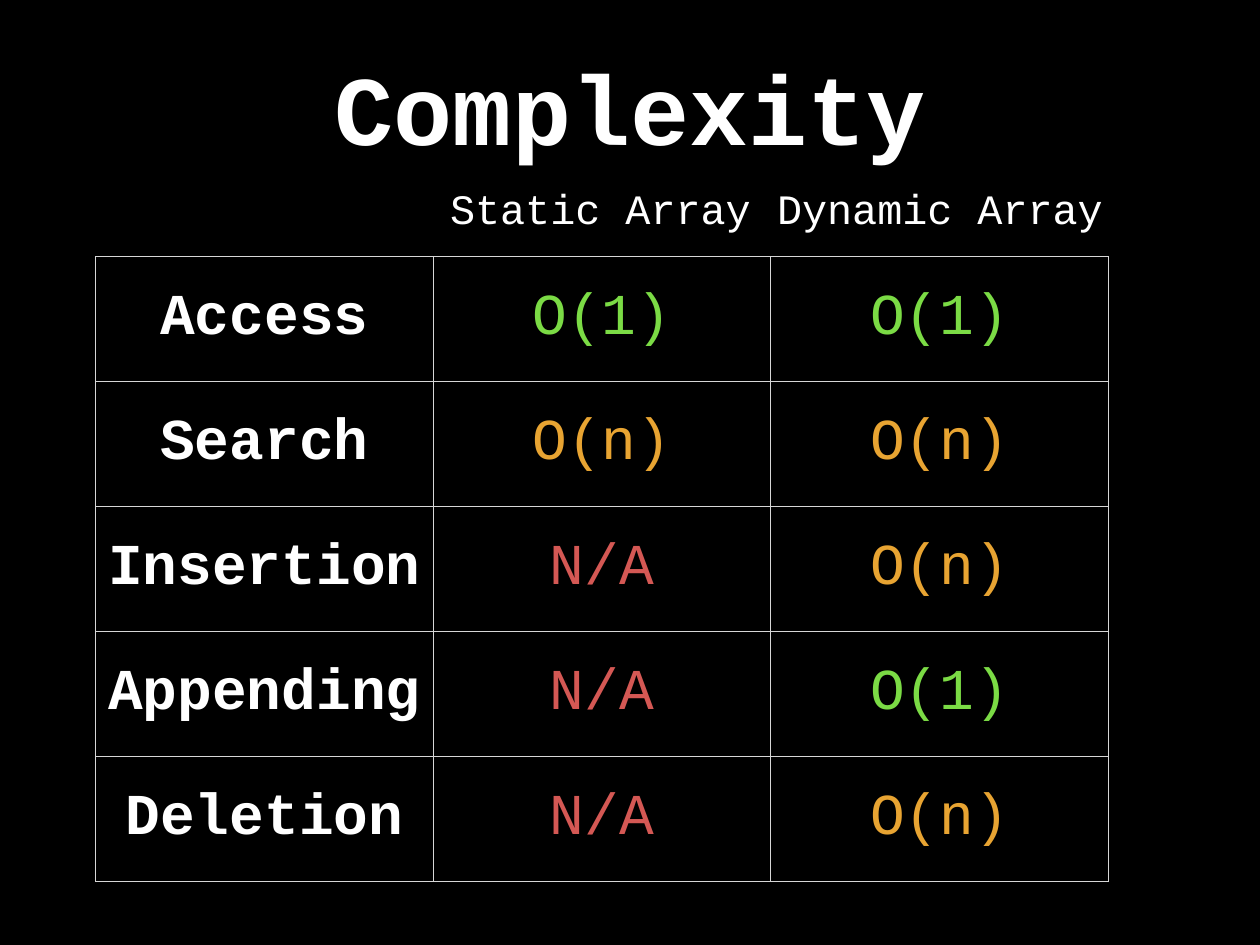
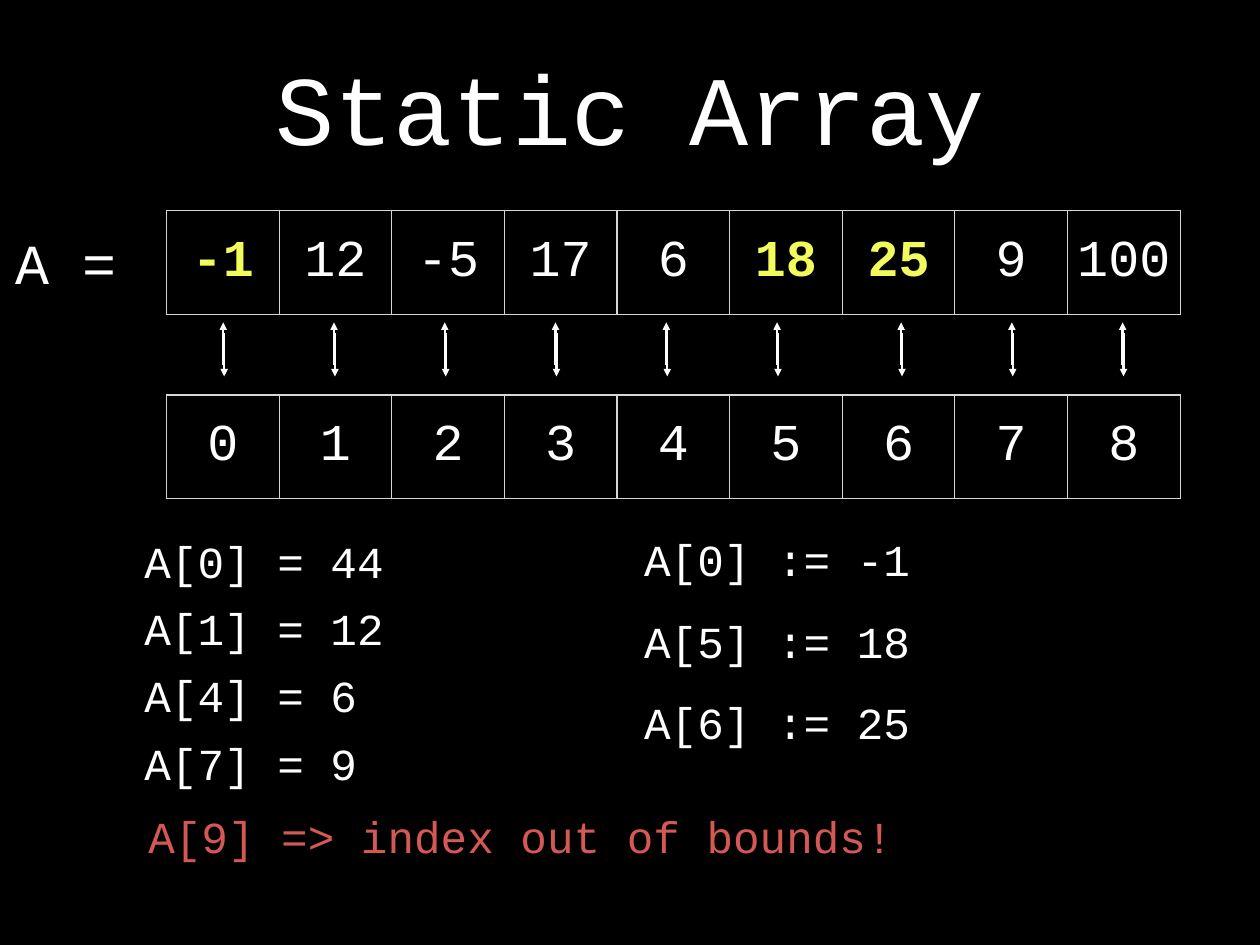
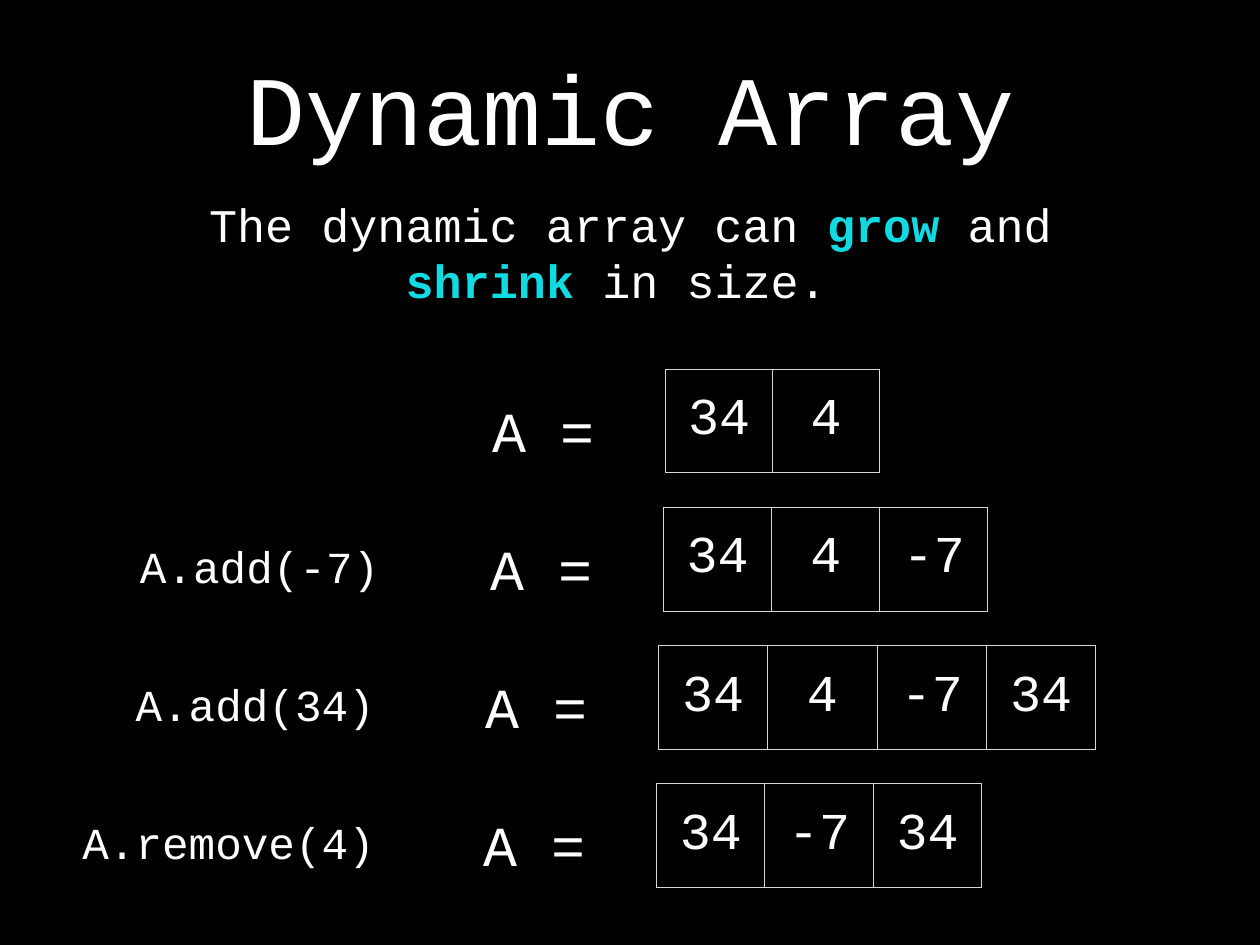
from lxml import etree
from pptx import Presentation
from pptx.dml.color import RGBColor
from pptx.enum import shapes, text
from pptx.oxml import ns
from pptx.util import Inches, Pt

COLORS = {
    "background": "000000",
    "text": "FFFFFF",
    "border": "D6D6D6",
    "constant": "7BDB45",
    "linear": "E8A432",
    "error": "D45854",
    "changed": "F2FB5C",
    "accent": "11DBE2",
}
FONT = "Courier New"
INSET = Inches(0.06)
FRAME_FORMAT = {
    "word_wrap": True,
    "auto_size": text.MSO_AUTO_SIZE.NONE,
    "vertical_anchor": text.MSO_ANCHOR.MIDDLE,
    "margin_left": INSET,
    "margin_right": INSET,
    "margin_top": INSET,
    "margin_bottom": INSET,
}
CELL_FORMAT = {
    name: value for name, value in FRAME_FORMAT.items()
    if name not in ("word_wrap", "auto_size")
}
CENTER = text.PP_ALIGN.CENTER
LEFT = text.PP_ALIGN.LEFT
COST_COLORS = {"O(1)": "constant", "O(n)": "linear", "N/A": "error"}


def color(name):
    return RGBColor.from_string(COLORS[name])


def apply_format(target, values):
    for name, value in values.items():
        setattr(target, name, value)


def write(frame, spans, size, align):
    para = frame.paragraphs[0]
    para.alignment = align
    for words, color_name, bold in spans:
        span = para.add_run()
        span.text = words
        apply_format(span.font, {"name": FONT, "size": Pt(size), "bold": bold})
        span.font.color.rgb = color(color_name)


def add_page(deck, title, bold=False):
    page = deck.slides.add_slide(deck.slide_layouts[5])
    box = page.shapes.title
    apply_format(box, {"left": Inches(2.6), "top": Inches(0.39),
                       "width": Inches(9.03), "height": Inches(1.61)})
    apply_format(box.text_frame, FRAME_FORMAT)
    write(box.text_frame, [(title, "text", bold)], 80, CENTER)
    return page


def add_text(page, spans, left, top, width, height, size, align=LEFT):
    box = page.shapes.add_textbox(
        Inches(left), Inches(top), Inches(width), Inches(height))
    apply_format(box.text_frame, FRAME_FORMAT)
    write(box.text_frame, spans, size, align)


def add_code(page, words, left, top, width):
    add_text(page, [(words, "text", False)], left, top, width, 0.68, 36)


def add_array_name(page, left, top):
    add_text(page, [("A =", "text", False)], left, top, 1.66, 0.86, 46)


def add_borders(cell):
    properties = cell._tc.get_or_add_tcPr()
    for side in ("lnL", "lnR", "lnT", "lnB"):
        line = etree.SubElement(properties, ns.qn(f"a:{side}"), w=str(Pt(1)))
        fill = etree.SubElement(line, ns.qn("a:solidFill"))
        etree.SubElement(fill, ns.qn("a:srgbClr"), val=COLORS["border"])


def add_grid(page, rows, left, top, width, row_height, size):
    count = len(rows[0])
    table = page.shapes.add_table(
        len(rows), count, Inches(left), Inches(top),
        Inches(width), Inches(row_height * len(rows))).table
    apply_format(table, {"first_row": False, "horz_banding": False})
    for column in table.columns:
        column.width = Inches(width / count)
    for row, spans in zip(table.rows, rows):
        row.height = Inches(row_height)
        for cell, span in zip(row.cells, spans):
            apply_format(cell, CELL_FORMAT)
            add_borders(cell)
            cell.fill.background()
            write(cell.text_frame, [span], size, CENTER)


def add_array(page, values, left, top, width, changed=()):
    spans = [
        (str(value), "changed" if index in changed else "text", index in changed)
        for index, value in enumerate(values)
    ]
    add_grid(page, [spans], left, top, width, 1.17, 42)


def add_arrow(page, x, start, end):
    arrow = page.shapes.add_connector(
        shapes.MSO_CONNECTOR.STRAIGHT,
        Inches(x), Inches(start), Inches(x), Inches(end))
    arrow.line.width = Pt(2)
    arrow.line.color.rgb = color("text")
    etree.SubElement(arrow.line._get_or_add_ln(), ns.qn("a:tailEnd"), type="triangle")
    etree.SubElement(arrow._element.spPr, ns.qn("a:effectLst"))


def build_complexity(deck):
    page = add_page(deck, "Complexity", bold=True)
    costs = [
        ("Access", "O(1)", "O(1)"),
        ("Search", "O(n)", "O(n)"),
        ("Insertion", "N/A", "O(n)"),
        ("Appending", "N/A", "O(1)"),
        ("Deletion", "N/A", "O(n)"),
    ]
    rows = [
        [(name, "text", True)] + [(cost, COST_COLORS[cost], False) for cost in row]
        for name, *row in costs
    ]
    add_grid(page, rows, 1.08, 2.9, 11.43, 1.41, 47)
    for words, left, width in (("Static Array", 5.02, 3.54),
                               ("Dynamic Array", 8.71, 3.82)):
        add_text(page, [(words, "text", False)], left, 2.01, width, 0.67, 34)


def build_static_array(deck):
    page = add_page(deck, "Static Array")
    values = [-1, 12, -5, 17, 6, 18, 25, 9, 100]
    add_array_name(page, 0.11, 2.53)
    add_array(page, values, 1.88, 2.38, 11.44, changed=(0, 5, 6))
    add_array(page, range(len(values)), 1.88, 4.46, 11.44)
    for index in range(len(values)):
        x = 2.52 + 1.25 * index + (0.15 if index > 5 else 0)
        add_arrow(page, x + 0.01, 3.76, 4.25)
        add_arrow(page, x, 4.12, 3.64)
    reads = ["A[0] = 44", "A[1] = 12", "A[4] = 6", "A[7] = 9"]
    for index, words in enumerate(reads):
        add_code(page, words, 1.57, 5.99 + 0.76 * index, 2.83)
    writes = ["A[0] := -1", "A[5] := 18", "A[6] := 25"]
    for index, words in enumerate(writes):
        add_code(page, words, 7.21, 5.97 + 0.92 * index, 3.14)
    add_text(page, [("A[9] => index out of bounds!", "error", False)],
             1.36, 9.1, 9.03, 0.68, 36, CENTER)


def build_dynamic_array(deck):
    page = add_page(deck, "Dynamic Array")
    summary = [
        ("The dynamic array can ", "text", False),
        ("grow", "accent", True),
        (" and ", "text", False),
        ("shrink", "accent", True),
        (" in size. ", "text", False),
    ]
    add_text(page, summary, 1.81, 2.18, 10.61, 1.33, 38, CENTER)
    steps = [
        (None, 0, 0, [34, 4], 7.51, 2.42),
        ("A.add(-7)", 1.52, 3.14, [34, 4, -7], 7.49, 3.66),
        ("A.add(34)", 1.47, 3.14, [34, 4, -7, 34], 7.43, 4.94),
        ("A.remove(4)", 0.87, 3.74, [34, -7, 34], 7.41, 3.67),
    ]
    for index, (call, call_left, call_width, values, left, width) in enumerate(steps):
        top = 4.17 + 1.56 * index
        add_array(page, values, left, top, width)
        add_array_name(page, left - 2.01, top + 0.25)
        if call:
            add_code(page, call, call_left, top + 0.32, call_width)


def main():
    deck = Presentation()
    apply_format(deck, {"slide_width": Inches(14.22), "slide_height": Inches(10.67)})
    background = deck.slide_master.background.fill
    background.solid()
    background.fore_color.rgb = color("background")
    build_complexity(deck)
    build_static_array(deck)
    build_dynamic_array(deck)
    deck.save("out.pptx")


if __name__ == "__main__":
    main()
